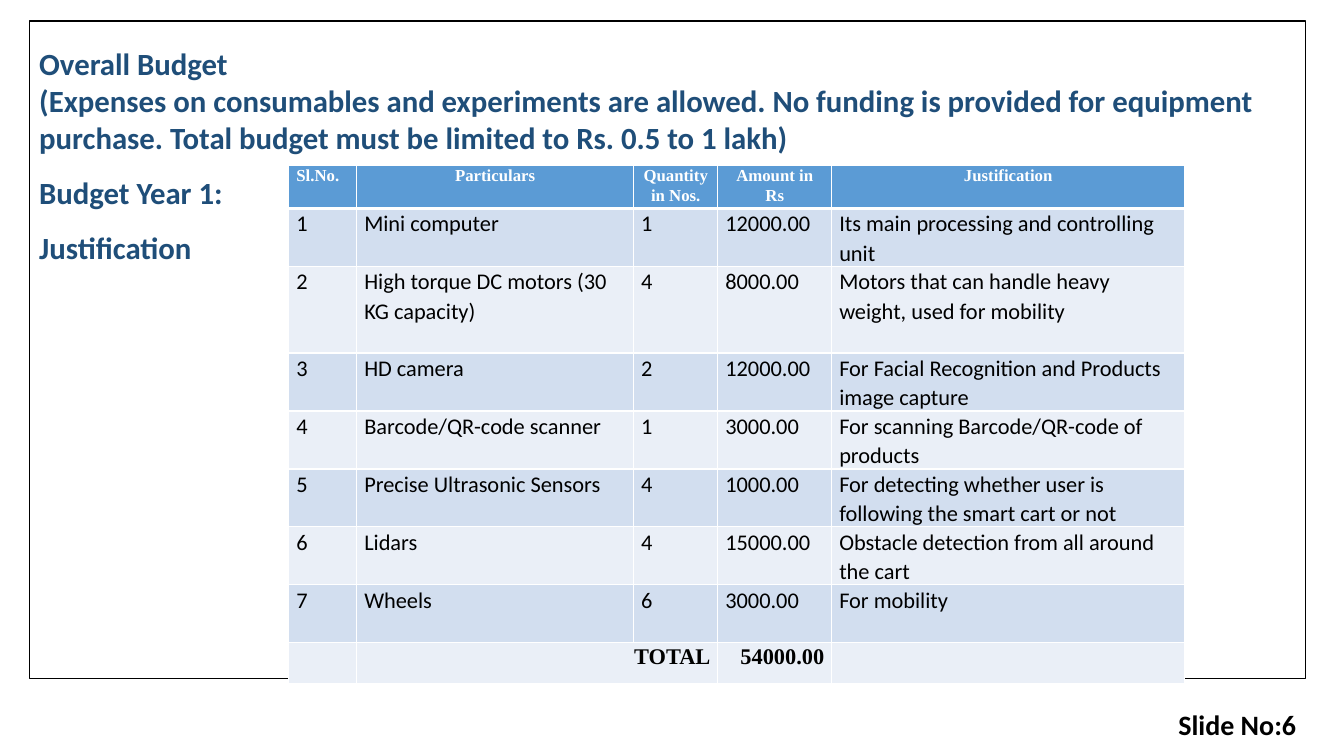
from lxml.etree import SubElement
from pptx import Presentation
from pptx.dml.color import RGBColor
from pptx.enum.shapes import MSO_SHAPE
from pptx.enum.text import MSO_ANCHOR, PP_ALIGN
from pptx.oxml.ns import qn
from pptx.util import Cm, Pt

NAVY = RGBColor(0x1F, 0x4E, 0x79)
BLUE = RGBColor(0x5B, 0x9B, 0xD5)
BAND_DARK = RGBColor(0xD2, 0xDE, 0xEF)
BAND_LIGHT = RGBColor(0xEA, 0xEF, 0xF7)
WHITE = RGBColor(0xFF, 0xFF, 0xFF)
BLACK = RGBColor(0, 0, 0)
SANS, SERIF = "Calibri", "Times New Roman"

HEADINGS = [
    ("Overall Budget", 1.5),
    ("(Expenses on consumables and experiments are allowed. No funding is "
     "provided for equipment purchase. Total budget must be limited to "
     "Rs. 0.5 to 1 lakh)", 1.0),
    ("Budget Year 1:", 1.5),
    ("Justification", 1.5),
]
COLUMNS = ["Sl.No.", "Particulars", "Quantity in Nos.", "Amount in Rs", "Justification"]
ITEMS = [
    ("Mini computer", "1", "12000.00", "Its main processing and controlling unit"),
    ("High torque DC motors (30 KG capacity)", "4", "8000.00",
     "Motors that can handle heavy weight, used for mobility"),
    ("HD camera", "2", "12000.00", "For Facial Recognition and Products image capture"),
    ("Barcode/QR-code scanner", "1", "3000.00", "For scanning Barcode/QR-code of products"),
    ("Precise Ultrasonic Sensors", "4", "1000.00",
     "For detecting whether user is following the smart cart or not"),
    ("Lidars", "4", "15000.00", "Obstacle detection from all around the cart"),
    ("Wheels", "6", "3000.00", "For mobility"),
]
TOTAL = ["", "TOTAL", "", "54000.00", ""]
COLUMN_WIDTHS = [1.71, 6.98, 2.12, 2.87, 8.9]
HEADER_HEIGHT, ITEM_HEIGHT, MOTOR_HEIGHT, TOTAL_HEIGHT = 1.08, 1.46, 2.18, 1.04


def style_paragraph(p, size, color, font=SANS, bold=True, align=PP_ALIGN.LEFT, spacing=1.0):
    """Format a paragraph and all its runs."""
    p.alignment = align
    p.line_spacing = spacing
    for r in p.runs:
        r.font.name = font
        r.font.size = Pt(size)
        r.font.bold = bold
        r.font.color.rgb = color


def add_frame(s):
    """Add the outlined frame holding the headings."""
    sp = s.shapes.add_shape(MSO_SHAPE.RECTANGLE, Cm(0.74), Cm(0.53), Cm(32.16), Cm(16.56))
    sp.shadow.inherit = False
    sp.fill.background()
    sp.line.color.rgb = BLACK
    sp.line.width = Pt(0.75)
    tf = sp.text_frame
    tf.word_wrap = True
    tf.vertical_anchor = MSO_ANCHOR.TOP
    tf.text = "\n".join(text for text, _ in HEADINGS)
    for p, (_, spacing) in zip(tf.paragraphs, HEADINGS):
        style_paragraph(p, 22, NAVY, spacing=spacing)


def add_slide_number(s):
    """Add the slide number label at the bottom right."""
    tf = s.shapes.add_textbox(Cm(25.3), Cm(17.73), Cm(7.62), Cm(1.02)).text_frame
    tf.word_wrap = True
    tf.vertical_anchor = MSO_ANCHOR.MIDDLE
    tf.text = "Slide No:6"
    style_paragraph(tf.paragraphs[0], 20, BLACK, align=PP_ALIGN.RIGHT)


def set_borders(cell, bottom):
    """Draw white borders round a cell, the lower one of a given width."""
    tc_pr = cell._tc.get_or_add_tcPr()
    for side, width in (("L", 1), ("R", 1), ("T", 1), ("B", bottom)):
        ln = SubElement(tc_pr, qn(f"a:ln{side}"), w=str(Pt(width)))
        fill = SubElement(ln, qn("a:solidFill"))
        SubElement(fill, qn("a:srgbClr"), val=str(WHITE))


def fill_cell(cell, text, fill, bottom=1, **style):
    """Set the text, margins, borders and fill of a cell."""
    cell.margin_left = cell.margin_right = Cm(0.19)
    cell.margin_top = cell.margin_bottom = 0
    set_borders(cell, bottom)
    cell.fill.solid()
    cell.fill.fore_color.rgb = fill
    cell.text_frame.text = text
    style_paragraph(cell.text_frame.paragraphs[0], spacing=1.07, **style)


def add_budget_table(s):
    """Add the budget table with header, items and total."""
    items = [(str(n), *item) for n, item in enumerate(ITEMS, 1)]
    rows = [COLUMNS, *items, TOTAL]
    heights = [HEADER_HEIGHT] + [ITEM_HEIGHT] * len(items) + [TOTAL_HEIGHT]
    heights[2] = MOTOR_HEIGHT
    table = s.shapes.add_table(len(rows), len(COLUMNS), Cm(7.28), Cm(4.17),
                               Cm(sum(COLUMN_WIDTHS)), Cm(sum(heights))).table
    for column, width in zip(table.columns, COLUMN_WIDTHS):
        column.width = Cm(width)
    last = len(rows) - 1
    for i, (row, height) in enumerate(zip(rows, heights)):
        table.rows[i].height = Cm(height)
        band = BAND_DARK if i % 2 else BAND_LIGHT
        for j, text in enumerate(row):
            cell = table.cell(i, j)
            if i == 0:
                fill_cell(cell, text, BLUE, bottom=3, size=12, color=WHITE, font=SERIF,
                          align=PP_ALIGN.CENTER if j else PP_ALIGN.JUSTIFY)
            elif i == last:
                fill_cell(cell, text, band, size=16, color=BLACK, font=SERIF,
                          align=PP_ALIGN.RIGHT)
            else:
                fill_cell(cell, text, band, size=16, color=BLACK, bold=False)
    table.cell(last, 1).merge(table.cell(last, 2))


def main():
    """Build and save the budget slide."""
    prs = Presentation()
    prs.slide_width, prs.slide_height = Cm(33.87), Cm(19.05)
    s = prs.slides.add_slide(prs.slide_layouts[6])
    add_frame(s)
    add_slide_number(s)
    add_budget_table(s)
    prs.save("out.pptx")


main()
